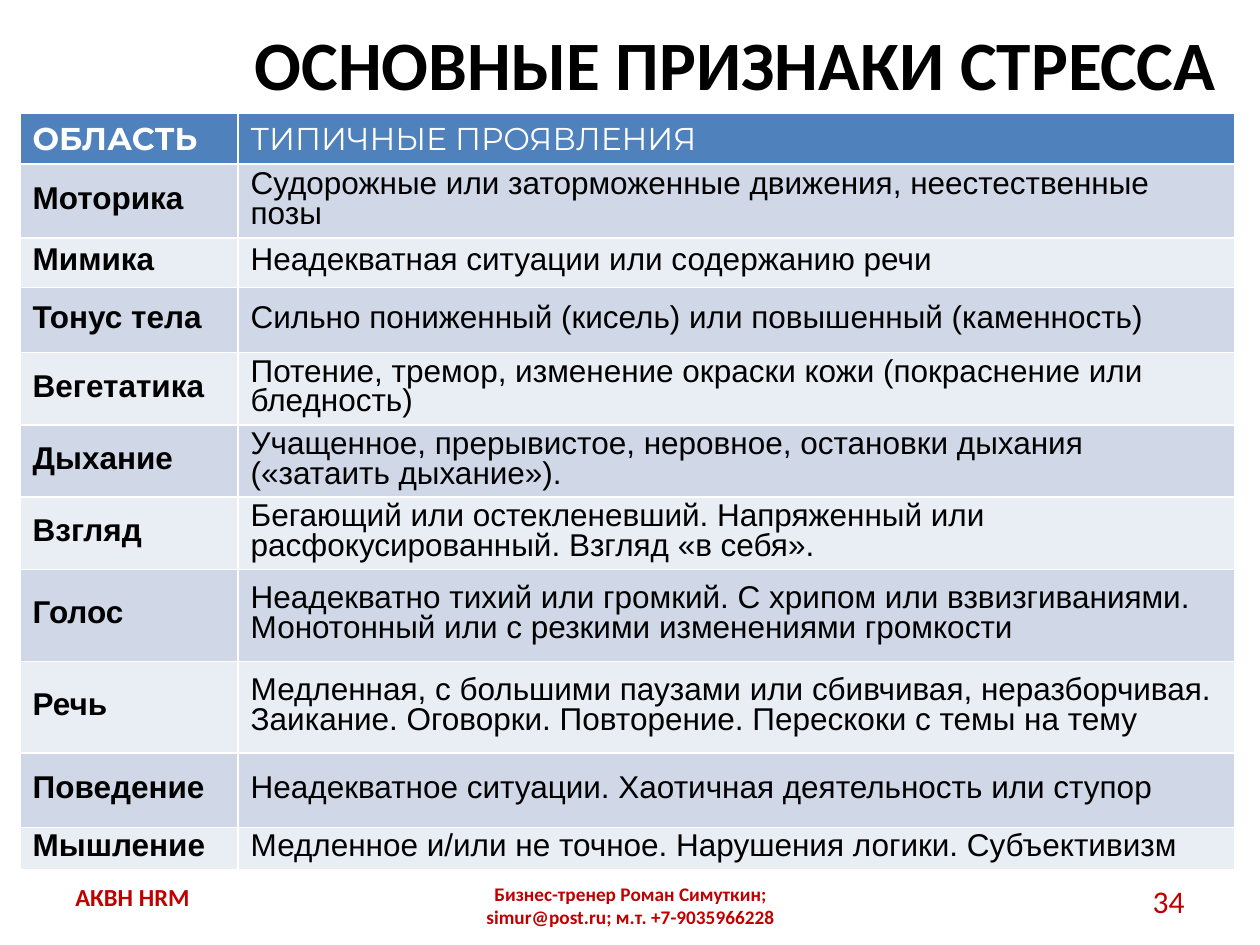
"""Build a slide with a table of the main signs of stress."""
from pptx import Presentation
from pptx.dml.color import RGBColor
from pptx.enum.text import MSO_ANCHOR, MSO_AUTO_SIZE, PP_ALIGN
from pptx.util import Inches, Pt

LEFT, CENTER, RIGHT = PP_ALIGN.LEFT, PP_ALIGN.CENTER, PP_ALIGN.RIGHT
MIDDLE = MSO_ANCHOR.MIDDLE
NO_AUTOFIT = MSO_AUTO_SIZE.NONE
TITLE_ONLY = 5
COLORS = {"text": "000000", "accent": "C00000", "header": "4F81BD",
          "header_text": "FFFFFF", "odd": "D0D8E8", "even": "E9EDF4"}
HEADER = ("ОБЛАСТЬ", "ТИПИЧНЫЕ ПРОЯВЛЕНИЯ")
SIGNS = [
    ("Моторика", "Судорожные или заторможенные движения, неестественные позы", 0.59),
    ("Мимика", "Неадекватная ситуации или содержанию речи", 0.39),
    ("Тонус тела", "Сильно пониженный (кисель) или повышенный (каменность)", 0.52),
    ("Вегетатика", "Потение, тремор, изменение окраски кожи (покраснение или бледность)", 0.57),
    ("Дыхание", "Учащенное, прерывистое, неровное, остановки дыхания («затаить дыхание»).", 0.57),
    ("Взгляд", "Бегающий или остекленевший. Напряженный или расфокусированный. "
               "Взгляд «в себя».", 0.57),
    ("Голос", "Неадекватно тихий или громкий. С хрипом или взвизгиваниями. "
              "Монотонный или с резкими изменениями громкости", 0.73),
    ("Речь", "Медленная, с большими паузами или сбивчивая, неразборчивая. "
             "Заикание. Оговорки. Повторение. Перескоки с темы на тему", 0.73),
    ("Поведение", "Неадекватное ситуации. Хаотичная деятельность или ступор", 0.59),
    ("Мышление", "Медленное и/или не точное. Нарушения логики. Субъективизм", 0.33),
]
FOOTERS = [
    ("АКВН HRM", 0.5, 2.33, 14, True, LEFT),
    ("Бизнес-тренер Роман Симуткин; simur@post.ru; м.т. +7-9035966228",
     3.42, 3.17, 11, True, CENTER),
    ("34", 7.17, 2.33, 18, False, RIGHT),
]


class SlideBuilder:
    """Holds the style and the current slide."""

    def __init__(self, prs):
        self.s = prs.slides.add_slide(prs.slide_layouts[TITLE_ONLY])

    def set_text(self, tf, text, size, color, font="Calibri", bold=False, align=LEFT):
        """Fill a text frame with one paragraph and return it."""
        tf.word_wrap = True
        p = tf.paragraphs[0]
        p.text = text
        p.alignment = align
        p.font.size = Pt(size)
        p.font.name = font
        p.font.bold = bold
        p.font.color.rgb = RGBColor.from_string(COLORS[color])
        return p

    def title(self, text, left, top, width, height):
        """Place and format the title."""
        sp = self.s.shapes.title
        sp.left, sp.top = Inches(left), Inches(top)
        sp.width, sp.height = Inches(width), Inches(height)
        tf = sp.text_frame
        tf.auto_size = NO_AUTOFIT
        tf.vertical_anchor = MIDDLE
        self.set_text(tf, text, 39.6, "text", bold=True, align=RIGHT)

    def footer(self, text, left, width, size, bold, align):
        """Add one text box of the footer row."""
        sp = self.s.shapes.add_textbox(Inches(left), Inches(6.95), Inches(width), Inches(0.4))
        self.set_text(sp.text_frame, text, size, "accent", bold=bold, align=align)

    def cell(self, cell, text, fill, color, font, bold):
        """Fill one table cell, set its text and return its paragraph."""
        cell.fill.solid()
        cell.fill.fore_color.rgb = RGBColor.from_string(COLORS[fill])
        cell.vertical_anchor = MIDDLE
        return self.set_text(cell.text_frame, text, 18, color, font, bold)

    def table(self, left, top, widths, header, header_height, rows):
        """Add a two-column table with a header and banded rows."""
        heights = [header_height] + [row[-1] for row in rows]
        table = self.s.shapes.add_table(
            len(heights), len(widths), Inches(left), Inches(top),
            Inches(sum(widths)), Inches(sum(heights))).table
        for column, width in zip(table.columns, widths):
            column.width = Inches(width)
        for row, height in zip(table.rows, heights):
            row.height = Inches(height)
        for c, text in enumerate(header):
            self.cell(table.cell(0, c), text, "header", "header_text", "Montserrat", c == 0)
        for r, (area, signs, _) in enumerate(rows, 1):
            fill = "odd" if r % 2 else "even"
            for c, text in enumerate((area, signs)):
                p = self.cell(table.cell(r, c), text, fill, "text", "Arial", c == 0)
                p.line_spacing = Pt(17)


def main():
    """Build and save the slide."""
    prs = Presentation()
    prs.slide_width, prs.slide_height = Inches(10), Inches(7.5)
    slide = SlideBuilder(prs)
    slide.title("ОСНОВНЫЕ ПРИЗНАКИ СТРЕССА", 0.47, 0.16, 9.28, 0.68)
    for footer in FOOTERS:
        slide.footer(*footer)
    slide.table(0.16, 0.9, (1.73, 7.91), HEADER, 0.4, SIGNS)
    prs.save("out.pptx")


if __name__ == "__main__":
    main()
